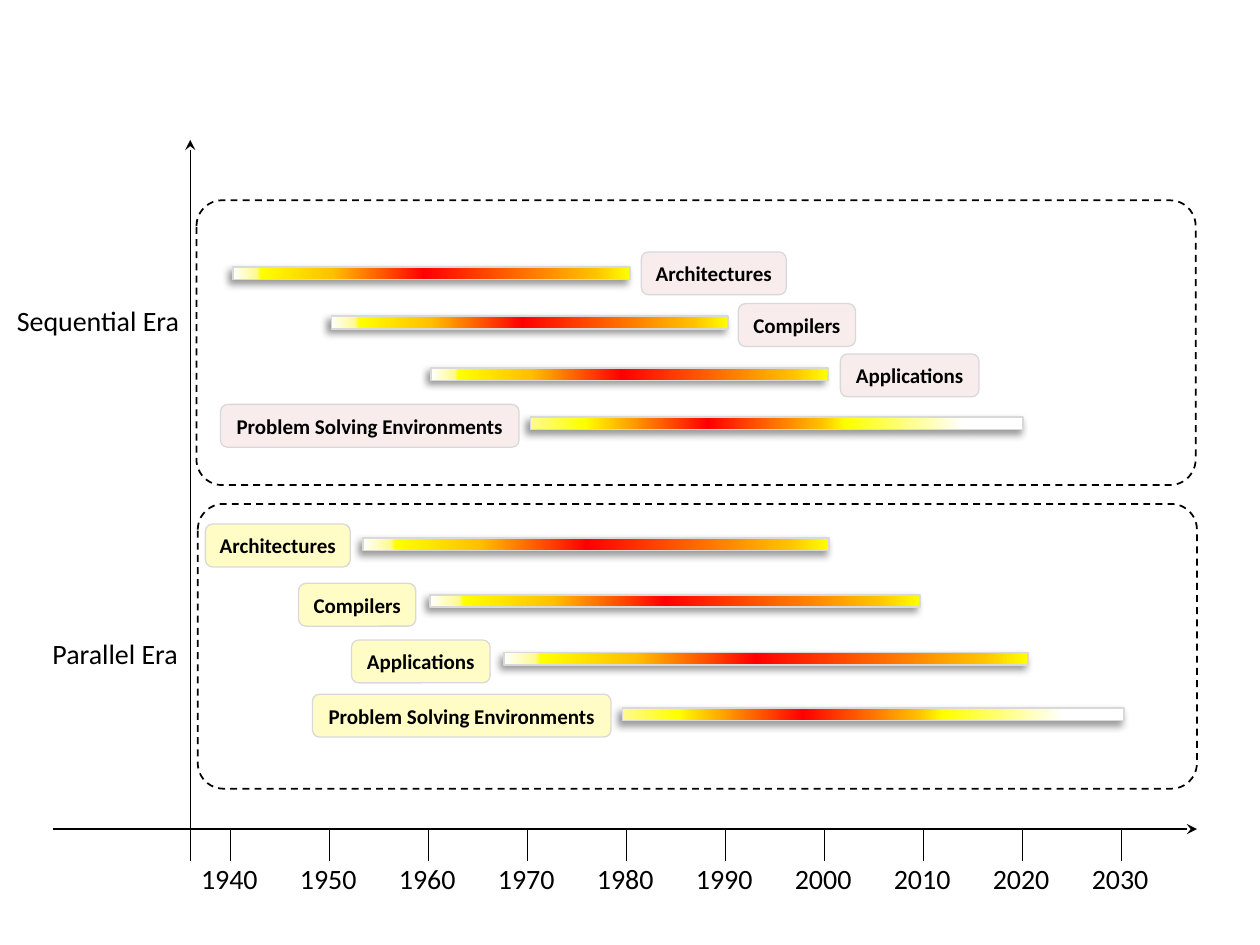
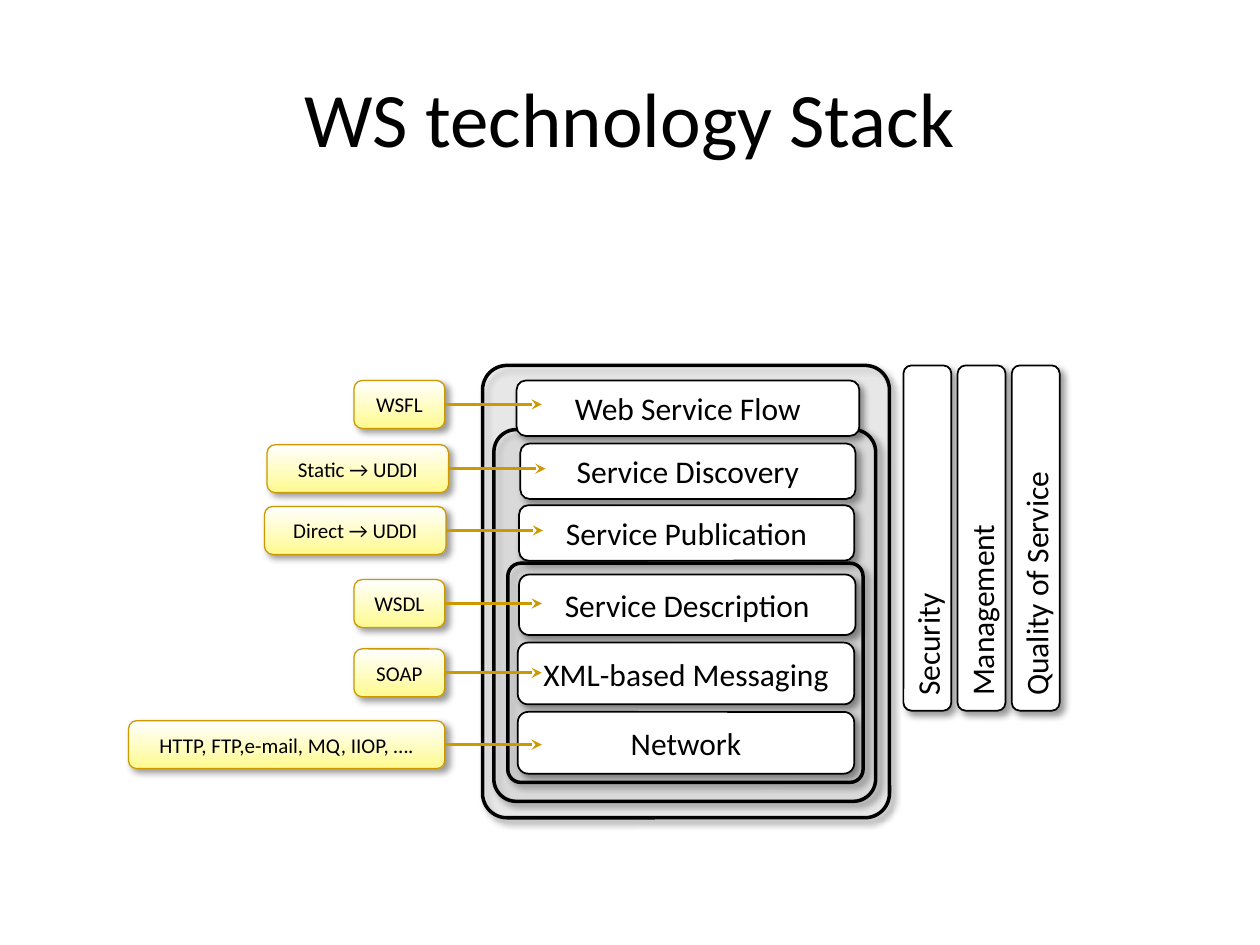
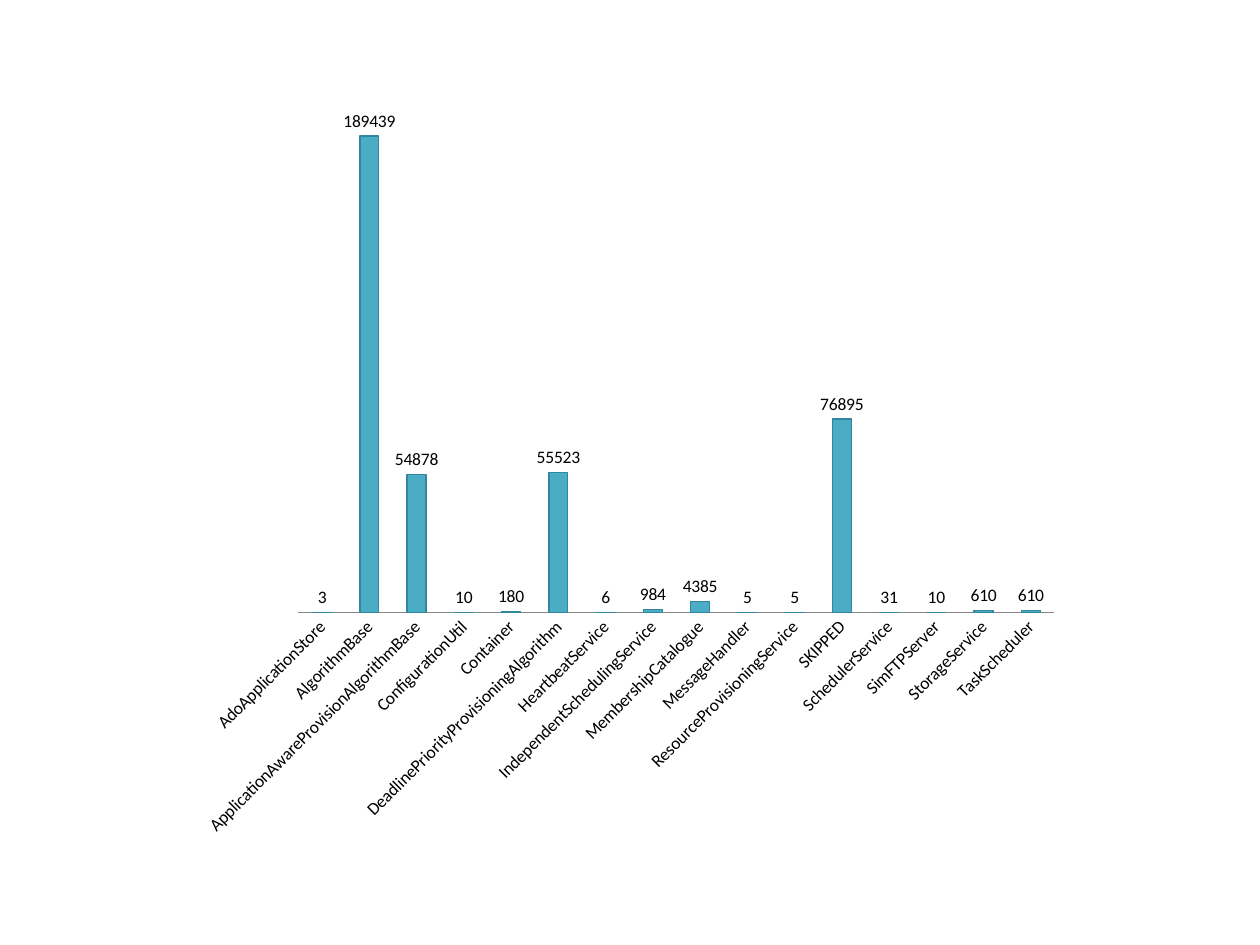
from lxml import etree
from pptx import Presentation
from pptx.chart.data import CategoryChartData
from pptx.dml.color import RGBColor
from pptx.enum.chart import XL_CHART_TYPE, XL_LABEL_POSITION, XL_TICK_MARK
from pptx.enum.dml import MSO_LINE
from pptx.enum.shapes import MSO_CONNECTOR, MSO_SHAPE
from pptx.enum.text import PP_ALIGN
from pptx.oxml.ns import qn
from pptx.util import Inches, Pt

RECT, ROUND = MSO_SHAPE.RECTANGLE, MSO_SHAPE.ROUNDED_RECTANGLE
LEFT, CENTER, RIGHT = PP_ALIGN.LEFT, PP_ALIGN.CENTER, PP_ALIGN.RIGHT
STRAIGHT, DASH = MSO_CONNECTOR.STRAIGHT, MSO_LINE.DASH
COLUMNS, OUTSIDE = XL_CHART_TYPE.COLUMN_CLUSTERED, XL_LABEL_POSITION.OUTSIDE_END
NO_TICKS = XL_TICK_MARK.NONE

FONT = "Calibri"
COLORS = {
    "black": "000000", "white": "FFFFFF", "silver": "D9D9D9", "rose": "F2DCDB",
    "cream": "FFFA8F", "yellow": "FFFF00", "amber": "FFC000", "red": "FF0000",
    "gold": "CC9900", "teal": "4BACC6", "dark teal": "31859C", "axis": "868686",
}
RGB = {name: RGBColor.from_string(value) for name, value in COLORS.items()}

RISING = [(0, "white"), (6, "cream"), (7, "yellow"), (25, "amber"),
          (48, "red"), (91, "amber"), (100, "yellow")]
FADING = [(0, "cream"), (11, "yellow"), (36, "red"), (59, "amber"),
          (64, "yellow"), (88, "white")]
TAG_FILL = [(0, "white"), (100, "cream")]


def add_box(s, kind, at, line, width, fill=None, alpha=None, angle=0, shadow=None,
            text=None, size=12, bold=False, align=CENTER, wrap=True):
    """Add a box; fill is a colour name or gradient stops, shadow a direction in degrees."""
    sp = s.shapes.add_shape(kind, *map(Inches, at))
    sp.shadow.inherit = False
    sp.line.color.rgb = RGB[line]
    sp.line.width = Pt(width)
    pr = sp._element.spPr
    if fill is None:
        sp.fill.background()
    elif isinstance(fill, str):
        sp.fill.solid()
        sp.fill.fore_color.rgb = RGB[fill]
        if alpha:
            color = pr.find(qn("a:solidFill")).find(qn("a:srgbClr"))
            etree.SubElement(color, qn("a:alpha"), val=str(alpha * 1000))
    else:
        sp.fill.gradient()
        sp.fill.gradient_angle = angle
        stops = pr.find(qn("a:gradFill")).find(qn("a:gsLst"))
        for stop in list(stops):
            stops.remove(stop)
        for pos, name in fill:
            stop = etree.SubElement(stops, qn("a:gs"), pos=str(pos * 1000))
            etree.SubElement(stop, qn("a:srgbClr"), val=COLORS[name])
    if shadow is not None:
        outer = etree.SubElement(
            pr.find(qn("a:effectLst")), qn("a:outerShdw"), blurRad=str(Pt(4)),
            dist=str(Pt(3)), dir=str(shadow * 60000), algn="ctr", rotWithShape="0")
        color = etree.SubElement(outer, qn("a:srgbClr"), val=COLORS["black"])
        etree.SubElement(color, qn("a:alpha"), val="40000")
    if text:
        sp.text_frame.word_wrap = wrap
        p = sp.text_frame.paragraphs[0]
        p.alignment = align
        r = p.add_run()
        r.text = text
        r.font.name, r.font.size, r.font.bold = FONT, Pt(size), bold
        r.font.color.rgb = RGB["black"]
    return sp


def add_line(s, x1, y1, x2, y2, color="black", width=0.75, arrow=False):
    c = s.shapes.add_connector(STRAIGHT, *map(Inches, (x1, y1, x2, y2)))
    c.line.color.rgb = RGB[color]
    c.line.width = Pt(width)
    if arrow:
        etree.SubElement(c.line._get_or_add_ln(), qn("a:tailEnd"), type="stealth")
    etree.SubElement(c._element.spPr, qn("a:effectLst"))
    return c


prs = Presentation()
prs.slide_width, prs.slide_height = Inches(10), Inches(7.5)
title_only, blank = prs.slide_layouts[5], prs.slide_layouts[6]

# Slide 1: timeline of the two eras
s = prs.slides.add_slide(blank)
add_line(s, 1.51, 6.83, 1.51, 1.11, arrow=True)
add_line(s, 0.42, 6.58, 9.5, 6.58, arrow=True)

axis_labels = [("Sequential Era", 0.01, 2.36, 1.51, RIGHT),
               ("Parallel Era", 0.3, 5, 1.21, RIGHT)]
first_tick, last_tick = 1.83, 8.9
for i in range(10):
    x = first_tick + i * (last_tick - first_tick) / 9
    add_line(s, x, 6.58, x, 6.83)
    axis_labels.append((str(1940 + 10 * i), x - 0.34, 6.79, 0.66, CENTER))
for text, x, y, w, align in axis_labels:
    tf = s.shapes.add_textbox(Inches(x), Inches(y), Inches(w), Inches(0.37)).text_frame
    tf.word_wrap = False
    p = tf.paragraphs[0]
    p.alignment = align
    r = p.add_run()
    r.text = text
    r.font.name, r.font.size = FONT, Pt(16)
    r.font.color.rgb = RGB["black"]

label_widths = {"Architectures": 1.15, "Compilers": 0.93, "Applications": 1.1,
                "Problem Solving Environments": 2.37}
# Each row: label left and top, bar left, top and width
eras = [
    ("rose", (1.56, 1.59), [(5.09, 2, 1.85, 2.12, 3.15), (5.86, 2.41, 2.63, 2.51, 3.15),
                            (6.67, 2.81, 3.42, 2.92, 3.15), (1.75, 3.21, 4.21, 3.31, 3.91)]),
    ("cream", (1.57, 4), [(1.63, 4.16, 2.88, 4.27, 3.7), (2.37, 4.63, 3.41, 4.72, 3.89),
                          (2.79, 5.08, 4, 5.18, 4.16), (2.48, 5.51, 4.94, 5.62, 3.98)]),
]
for color, frame_at, rows in eras:
    for (text, label_w), (label_x, label_y, x, y, w) in zip(label_widths.items(), rows):
        stops = FADING if text.startswith("Problem") else RISING
        add_box(s, RECT, (x, y, w, 0.1), "silver", 1, stops, shadow=135)
        add_box(s, ROUND, (label_x, label_y, label_w, 0.34), "silver", 0.75, color,
                alpha=50, text=text, bold=True, wrap=False)
    frame = add_box(s, ROUND, (*frame_at, 7.93, 2.26), "black", 1)
    frame.adjustments[0] = 0.09
    frame.line.dash_style = DASH

# Slide 2: web service stack
s = prs.slides.add_slide(title_only)
title = s.shapes.title
title.left, title.top, title.width, title.height = map(Inches, (0.5, 0.3, 9, 1.25))
p = title.text_frame.paragraphs[0]
p.alignment = CENTER
r = p.add_run()
r.text = "WS technology Stack"
r.font.name, r.font.size = FONT, Pt(44)
r.font.color.rgb = RGB["black"]

for at in [(3.83, 2.9, 3.23, 3.59), (3.92, 3.41, 3.03, 2.95), (4.03, 4.47, 2.82, 1.74)]:
    panel = add_box(s, ROUND, at, "black", 2, "white", alpha=35, shadow=45)
    panel.adjustments[0] = 0.06

layers = [
    ("Web Service Flow", 4.1, 3.02, 2.72, 0.44),
    ("Service Discovery", 4.13, 3.52, 2.66, 0.44),
    ("Service Publication", 4.12, 4.01, 2.66, 0.44),
    ("Service Description", 4.12, 4.56, 2.67, 0.48),
    ("XML-based Messaging", 4.11, 5.1, 2.67, 0.49),
    ("Network", 4.11, 5.65, 2.67, 0.49),
]
for text, *at in layers:
    add_box(s, ROUND, at, "black", 1, "white", shadow=45, text=text, size=18)

for i, text in enumerate(["Security", "Management", "Quality of Service"]):
    pillar = add_box(s, ROUND, (5.99 + 0.43 * i, 4.08, 2.74, 0.38), "black", 1, "white",
                     shadow=45, text=text, size=18, align=LEFT)
    pillar.rotation = 270

tags = [
    ("WSFL", 2.81, 3.02, 0.72),
    ("Static → UDDI", 2.12, 3.53, 1.44),
    ("Direct → UDDI", 2.1, 4.02, 1.44),
    ("WSDL", 2.81, 4.6, 0.72),
    ("SOAP", 2.81, 5.15, 0.72),
    ("HTTP, FTP,e-mail, MQ, IIOP, ….", 1.02, 5.72, 2.51),
]
for text, x, y, w in tags:
    tag = add_box(s, ROUND, (x, y, w, 0.38), "gold", 0.75, TAG_FILL, angle=270, shadow=45,
                  text=text, wrap=False)
    right, middle = x + w, y + 0.19
    arrow = add_line(s, right, middle, right + 0.77, middle, "gold", 1.5, arrow=True)
    arrow.begin_connect(tag, 3)

# Slide 3: column chart of counts by class
s = prs.slides.add_slide(blank)
counts = {
    "AdoApplicationStore": 3, "AlgorithmBase": 189439,
    "ApplicationAwareProvisionAlgorithmBase": 54878, "ConfigurationUtil": 10,
    "Container": 180, "DeadlinePriorityProvisioningAlgorithm": 55523,
    "HeartbeatService": 6, "IndependentSchedulingService": 984,
    "MembershipCatalogue": 4385, "MessageHandler": 5, "ResourceProvisioningService": 5,
    "SKIPPED": 76895, "SchedulerService": 31, "SimFTPServer": 10,
    "StorageService": 610, "TaskScheduler": 610,
}
data = CategoryChartData()
data.categories = list(counts)
data.add_series("Series 1", list(counts.values()))
chart = s.shapes.add_chart(COLUMNS, *map(Inches, (1.48, 0.75, 7.03, 6)), data).chart
chart.has_legend = False
chart.has_title = False
chart.font.name, chart.font.size = FONT, Pt(10)
chart.font.color.rgb = RGB["black"]

chart.value_axis.visible = False
chart.value_axis.has_major_gridlines = False
axis = chart.category_axis
axis.major_tick_mark = NO_TICKS
axis.format.line.color.rgb = RGB["axis"]
axis.tick_labels.font.name, axis.tick_labels.font.size = FONT, Pt(10)
body = axis._element.find(qn("c:txPr")).find(qn("a:bodyPr"))
body.set("rot", str(-45 * 60000))
body.set("vert", "horz")

plot = chart.plots[0]
plot.gap_width = 150
plot.vary_by_categories = False
plot.has_data_labels = True
labels = plot.data_labels
labels.show_value = True
labels.position = OUTSIDE
labels.font.name, labels.font.size = FONT, Pt(10)
columns = plot.series[0].format
columns.fill.solid()
columns.fill.fore_color.rgb = RGB["teal"]
columns.line.color.rgb = RGB["dark teal"]
columns.line.width = Pt(0.75)

prs.save("out.pptx")
